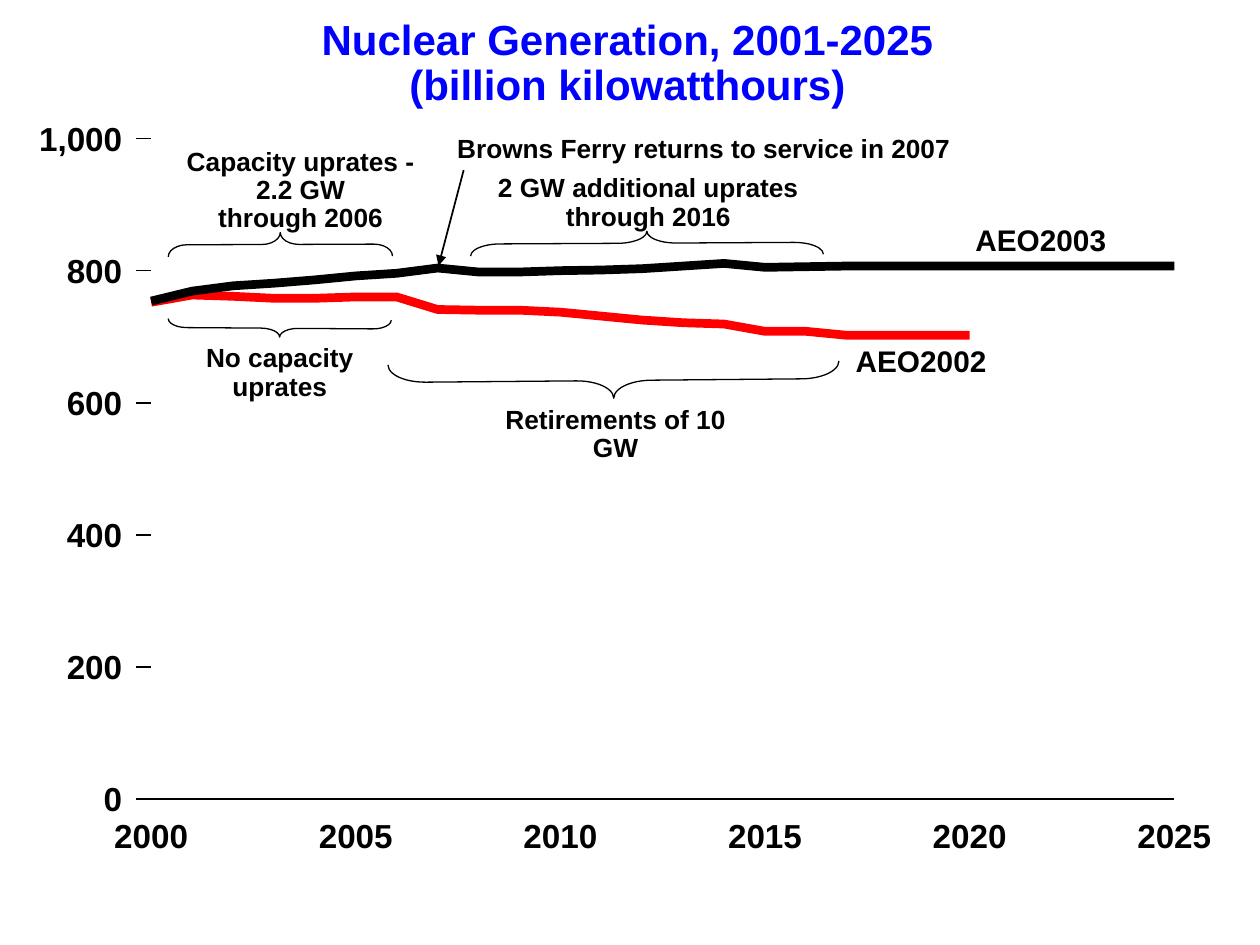
from lxml.etree import SubElement
from pptx import Presentation
from pptx.dml.color import RGBColor
from pptx.enum.shapes import MSO_CONNECTOR, MSO_SHAPE
from pptx.enum.text import PP_ALIGN as Align
from pptx.oxml.ns import qn
from pptx.util import Inches, Pt

BLACK = RGBColor(0, 0, 0)
RED = RGBColor(255, 0, 0)
BLUE = RGBColor(0, 0, 255)

FIRST_YEAR, LAST_YEAR, YEAR_STEP = 2000, 2025, 5
VALUE_MAX, VALUE_STEP = 1000, 200
TICK_LENGTH = 0.12

AEO2002 = [752, 763, 761, 758, 758, 760, 760, 741, 740, 740, 737, 731, 725,
           721, 719, 708, 708, 702, 702, 702, 702]
AEO2003 = [754, 769, 777, 781, 786, 792, 796, 804, 798, 798, 800, 801, 803,
           807, 811, 805, 806] + [807] * 9


def add_text(slide, box, lines, size=15, color=BLACK, align=Align.CENTER,
             spacing=0.9, margins=(0, 0), wrap=False):
    shape = slide.shapes.add_textbox(*map(Inches, box))
    frame = shape.text_frame
    frame.word_wrap = wrap
    frame.margin_left = frame.margin_right = Inches(margins[0])
    frame.margin_top = frame.margin_bottom = Inches(margins[1])
    for index, line in enumerate(lines):
        paragraph = frame.add_paragraph() if index else frame.paragraphs[0]
        paragraph.alignment = align
        paragraph.line_spacing = spacing
        run = paragraph.add_run()
        run.text = line
        run.font.name = "Arial"
        run.font.size = Pt(size)
        run.font.bold = True
        run.font.color.rgb = color


def add_line(slide, start, end, arrow=False):
    line = slide.shapes.add_connector(
        MSO_CONNECTOR.STRAIGHT, *map(Inches, (*start, *end)))
    line.line.color.rgb = BLACK
    line.line.width = Pt(1)
    properties = line._element.spPr
    if arrow:
        SubElement(properties.find(qn("a:ln")), qn("a:tailEnd"), type="triangle")
    SubElement(properties, qn("a:effectLst"))


def style_outline(shape, color, width):
    shape.shadow.inherit = False
    shape.fill.background()
    shape.line.color.rgb = color
    shape.line.width = Pt(width)


def add_series(slide, values, color, to_x, to_y):
    points = [(Inches(to_x(FIRST_YEAR + index)), Inches(to_y(value)))
              for index, value in enumerate(values)]
    builder = slide.shapes.build_freeform(*points[0])
    builder.add_line_segments(points[1:], close=False)
    style_outline(builder.convert_to_shape(), color, 5)


def add_chart_area(slide, left, top, width, height):
    """Draw both series, the axes and their labels around the plot box."""
    bottom = top + height

    def to_x(year):
        return left + width * (year - FIRST_YEAR) / (LAST_YEAR - FIRST_YEAR)

    def to_y(value):
        return bottom - height * value / VALUE_MAX

    add_series(slide, AEO2002, RED, to_x, to_y)
    add_series(slide, AEO2003, BLACK, to_x, to_y)
    add_line(slide, (left, bottom), (left + width, bottom))
    for value in range(0, VALUE_MAX + 1, VALUE_STEP):
        y = to_y(value)
        add_line(slide, (left - TICK_LENGTH, y), (left, y))
        add_text(slide, (left - 0.89, y - 0.16, 0.66, 0.32), [f"{value:,}"],
                 size=19, align=Align.RIGHT, spacing=1.0, wrap=True)
    for year in range(FIRST_YEAR, LAST_YEAR + 1, YEAR_STEP):
        add_text(slide, (to_x(year) - 0.3, bottom + 0.13, 0.6, 0.32),
                 [str(year)], size=19, spacing=1.0)
    add_text(slide, (6.79, 2.72, 1.04, 0.28), ["AEO2002"], size=17, spacing=1.0)
    add_text(slide, (7.74, 1.76, 1.04, 0.28), ["AEO2003"], size=17, spacing=1.0)


def add_brace(slide, kind, box, rotation):
    """Add an upright brace in the box, then turn it to lie flat."""
    brace = slide.shapes.add_shape(kind, *map(Inches, box))
    depth, length = box[2:]
    brace.adjustments[0] = length / 12 / depth
    brace.rotation = rotation
    style_outline(brace, BLACK, 0.75)


def add_annotations(slide):
    up, down = MSO_SHAPE.RIGHT_BRACE, MSO_SHAPE.LEFT_BRACE
    for kind, box, rotation in (
        (up, (2.13, 1.05, 0.19, 1.78), 269.8),
        (up, (5.04, 0.53, 0.19, 2.8), 269.7),
        (down, (2.15, 1.72, 0.14, 1.77), 270.4),
        (down, (4.73, 1.23, 0.28, 3.58), 269.5),
    ):
        add_brace(slide, kind, box, rotation)
    add_line(slide, (3.68, 1.35), (3.48, 2.11), arrow=True)
    for box, lines in (
        ((1.23, 1.13, 2.31, 0.78),
         ["Capacity uprates -", "2.2 GW", "through 2006"]),
        ((3.27, 1.03, 4.63, 0.33), ["Browns Ferry returns to service in 2007"]),
        ((3.73, 1.34, 2.83, 0.55), ["2 GW additional uprates", "through 2016"]),
        ((1.44, 2.69, 1.56, 0.55), ["No capacity uprates"]),
        ((3.82, 3.18, 2.13, 0.55), ["Retirements of 10 GW"]),
    ):
        add_text(slide, box, lines, margins=(0.1, 0.05), wrap=True)


def main():
    presentation = Presentation()
    presentation.slide_width = Inches(10)
    presentation.slide_height = Inches(7.5)
    slide = presentation.slides.add_slide(presentation.slide_layouts[6])
    add_text(slide, (2.55, 0.15, 4.86, 0.72),
             ["Nuclear Generation, 2001-2025", "(billion kilowatthours)"],
             size=24, color=BLUE)
    add_chart_area(slide, left=1.2, top=1.1, width=8.12, height=5.24)
    add_annotations(slide)
    presentation.save("out.pptx")


if __name__ == "__main__":
    main()
